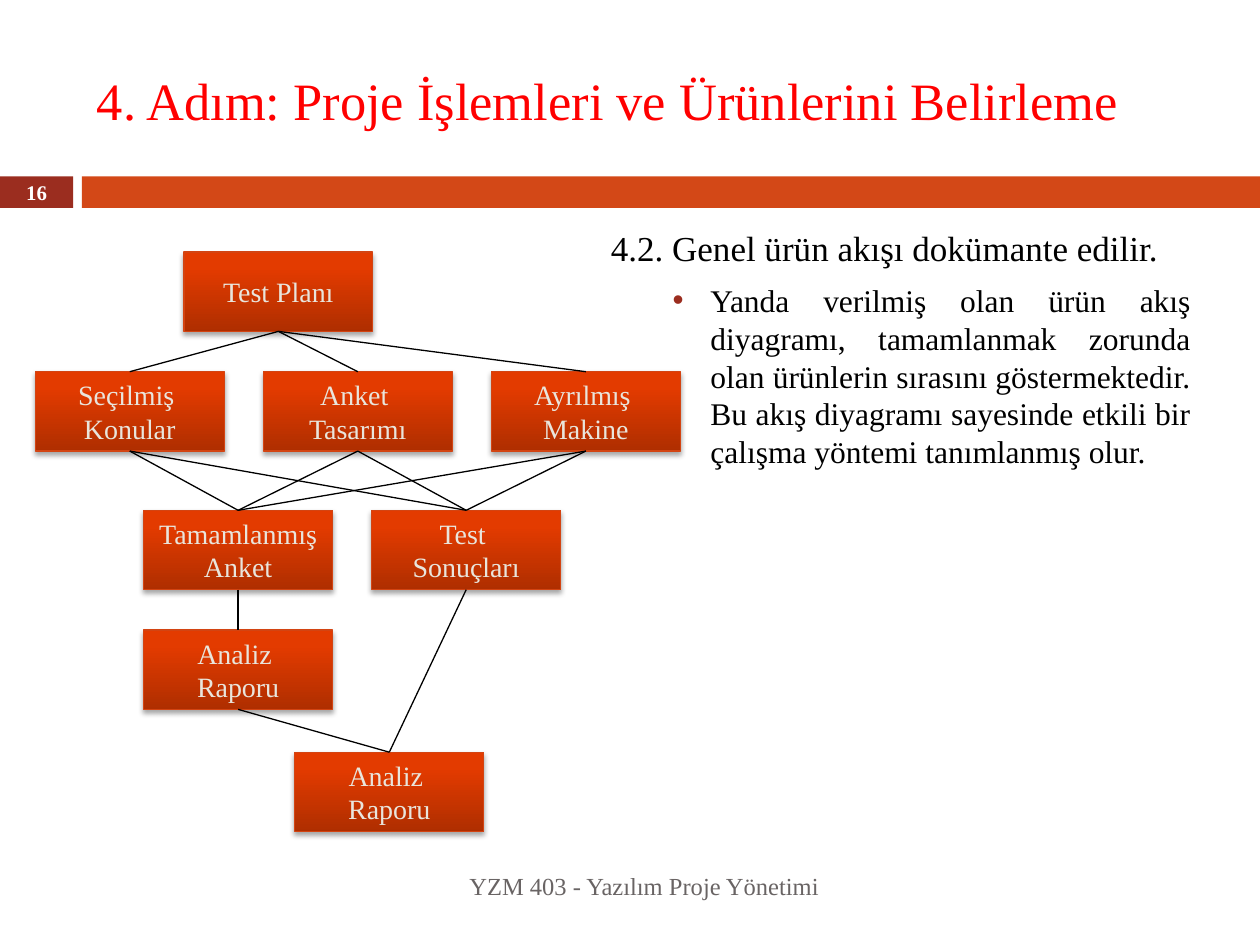
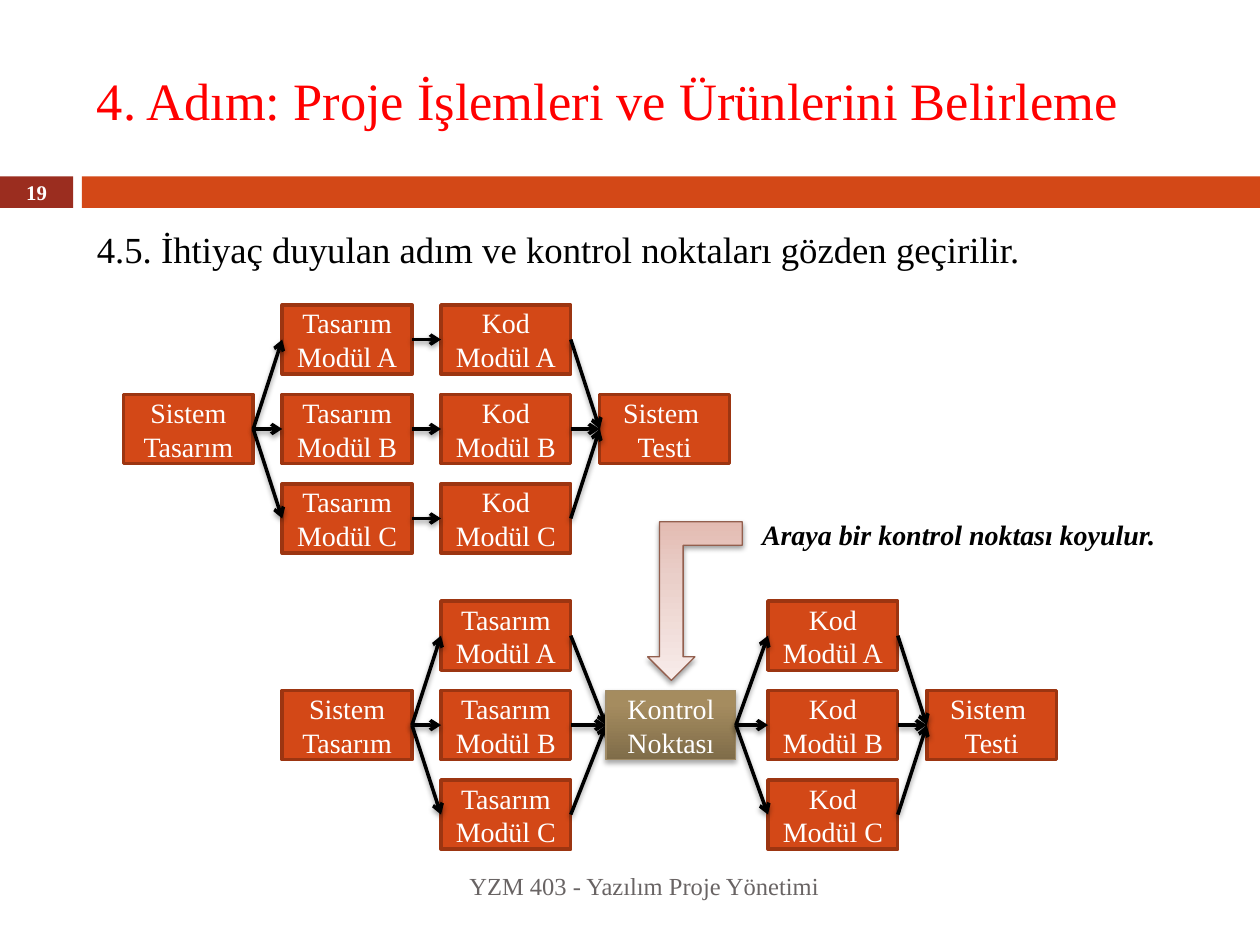
from itertools import product

from lxml.etree import SubElement
from pptx import Presentation
from pptx.dml.color import RGBColor
from pptx.enum.shapes import MSO_CONNECTOR, MSO_SHAPE
from pptx.enum.text import MSO_ANCHOR as Anchor, PP_ALIGN as Align
from pptx.oxml.ns import qn
from pptx.util import Inches, Pt

# Shared look
FONT = "Times New Roman"
BLACK = RGBColor(0x00, 0x00, 0x00)
WHITE = RGBColor(0xFF, 0xFF, 0xFF)
RED = RGBColor(0xFF, 0x00, 0x00)
GREY = RGBColor(0x69, 0x64, 0x64)
CREAM = RGBColor(0xE9, 0xE5, 0xDC)
MAROON = RGBColor(0x9B, 0x2D, 0x1F)
ORANGE = RGBColor(0xD3, 0x48, 0x17)
RUST = RGBColor(0x9C, 0x35, 0x11)
PRODUCT_LINE = RGBColor(0xD3, 0x44, 0x12)
CHECK_LINE = RGBColor(0xA0, 0x8B, 0x66)
ARROW_LINE = RGBColor(0x93, 0x5F, 0x4E)

# Gradients run from bottom to top: (percent, colour)
PRODUCT_FILL = [(0, "AF2E00"), (80, "E33B00"), (100, "E43B00")]
CHECK_FILL = [(0, "7F6C49"), (80, "A58C5F"), (100, "A78D5E")]
ARROW_FILL = [(0, "E3BBB2"), (35, "EACFC9"), (100, "F8ECEA")]

# Shadows: opacity percent, blur and distance in points
BOX_SHADOW = (35, 3.1, 1.8)
LINE_SHADOW = (38, 3.1, 1.6)

SIDES_DOWN = (2, 0)
SIDES_RIGHT = (3, 1)

# Content
TITLE = "4. Adım: Proje İşlemleri ve Ürünlerini Belirleme"
FOOTER = "YZM 403 - Yazılım Proje Yönetimi"

FLOW_HEADING = "4.2. Genel ürün akışı dokümante edilir."
FLOW_BULLET = (
    "Yanda verilmiş olan ürün akış diyagramı, tamamlanmak zorunda olan "
    "ürünlerin sırasını göstermektedir. Bu akış diyagramı sayesinde etkili "
    "bir çalışma yöntemi tanımlanmış olur."
)
# Tiers of products: (left of the first, top, labels)
PRODUCT_TIERS = [
    (1.46, 2, [["Test Planı"]]),
    (0.28, 2.95, [["Seçilmiş ", "Konular"], ["Anket ", "Tasarımı"],
                  ["Ayrılmış ", "Makine"]]),
    (1.14, 4.05, [["Tamamlanmış", "Anket"], ["Test ", "Sonuçları"]]),
    (1.14, 5, [["Analiz ", "Raporu"]]),
    (2.34, 5.97, [["Analiz ", "Raporu"]]),
]
PRODUCT_SIZE = (1.5, 0.63)
PRODUCT_PITCH = 1.81

REVIEW_HEADING = "4.5. İhtiyaç duyulan adım ve kontrol noktaları gözden geçirilir."
REVIEW_NOTE = "Araya bir kontrol noktası koyulur."
SYSTEM_DESIGN = [["Sistem", "Tasarım"]]
SYSTEM_TEST = [["Sistem ", "Testi"]]
CHECKPOINT = [["Kontrol", "Noktası"]]
DESIGN_MODULES = [["Tasarım", f"Modül {module}"] for module in "ABC"]
CODE_MODULES = [[f"Kod Modül {module}"] for module in "ABC"]
# Work flows: (top, stages as (grid column, labels))
WORK_FLOWS = [
    (2.42, [(0, SYSTEM_DESIGN), (1, DESIGN_MODULES), (2, CODE_MODULES),
            (3, SYSTEM_TEST)]),
    (4.77, [(1, SYSTEM_DESIGN), (2, DESIGN_MODULES), (3.04, CHECKPOINT),
            (4.06, CODE_MODULES), (5.06, SYSTEM_TEST)]),
]
STEP_SIZE = (1.03, 0.55)
STEP_LEFT = 0.98
STEP_PITCH = (1.26, 0.71)


# Text and effects
def add_run(paragraph, text, size, color, bold=False, italic=False):
    run = paragraph.add_run()
    run.text = text
    font = run.font
    font.name, font.size, font.color.rgb = FONT, Pt(size), color
    font.bold, font.italic = bold, italic


def write_lines(frame, lines, size, color, align=Align.LEFT,
                anchor=Anchor.TOP, **style):
    frame.vertical_anchor = anchor
    for index, line in enumerate(lines):
        paragraph = frame.add_paragraph() if index else frame.paragraphs[0]
        paragraph.alignment = align
        add_run(paragraph, line, size, color, **style)


def add_text(slide, place, text, size, color, **style):
    frame = slide.shapes.add_textbox(*map(Inches, place)).text_frame
    frame.word_wrap = True
    write_lines(frame, [text], size, color, **style)
    return frame


def add_color(parent, value):
    return SubElement(parent, qn("a:srgbClr"), val=value)


def add_effects(properties, shadow):
    effects = properties.find(qn("a:effectLst"))
    if effects is None:
        effects = SubElement(properties, qn("a:effectLst"))
    if shadow:
        opacity, blur, distance = shadow
        outer = SubElement(effects, qn("a:outerShdw"), blurRad=str(Pt(blur)),
                           dist=str(Pt(distance)), dir="5400000",
                           rotWithShape="0")
        SubElement(add_color(outer, "000000"), qn("a:alpha"),
                   val=str(opacity * 1000))


def fill_gradient(shape, stops):
    shape.fill.gradient()
    shape.fill.gradient_angle = 90
    stop_list = next(shape._element.spPr.iter(qn("a:gsLst")))
    for stop in list(stop_list):
        stop_list.remove(stop)
    for percent, color in stops:
        stop = SubElement(stop_list, qn("a:gs"), pos=str(percent * 1000))
        add_color(stop, color)


# Shapes
def add_block(slide, place, fill, line=None, width=0.75, shadow=None,
              kind=MSO_SHAPE.RECTANGLE):
    shape = slide.shapes.add_shape(kind, *map(Inches, place))
    shape.shadow.inherit = False
    if isinstance(fill, list):
        fill_gradient(shape, fill)
    else:
        shape.fill.solid()
        shape.fill.fore_color.rgb = fill
    if line is None:
        shape.line.fill.background()
    else:
        shape.line.color.rgb, shape.line.width = line, Pt(width)
    add_effects(shape._element.spPr, shadow)
    return shape


def add_box(slide, place, lines, color, wrap=True, **look):
    box = add_block(slide, place, **look)
    box.text_frame.word_wrap = wrap
    write_lines(box.text_frame, lines, 16, color, Align.CENTER, Anchor.MIDDLE)
    return box


def link(slide, start, end, sides, width, arrow=False, shadow=None):
    connector = slide.shapes.add_connector(MSO_CONNECTOR.STRAIGHT, 0, 0, 0, 0)
    connector.begin_connect(start, sides[0])
    connector.end_connect(end, sides[1])
    connector.line.color.rgb, connector.line.width = BLACK, Pt(width)
    if arrow:
        SubElement(connector.line._get_or_add_ln(), qn("a:tailEnd"), type="arrow")
    add_effects(connector._element.spPr, shadow)


def add_base(presentation, number):
    slide = presentation.slides.add_slide(presentation.slide_layouts[6])
    add_block(slide, (0, 1.4, 0.58, 0.25), MAROON)
    add_block(slide, (0.65, 1.4, 9.35, 0.25), ORANGE)
    add_text(slide, (0.67, 0.25, 8.92, 1.08), TITLE, 30, RED, anchor=Anchor.MIDDLE)
    add_text(slide, (0.67, 6.83, 5.93, 0.4), FOOTER, 14, GREY,
             align=Align.RIGHT, anchor=Anchor.MIDDLE)
    add_text(slide, (0, 1.39, 0.58, 0.27), number, 11.9, WHITE,
             align=Align.CENTER, anchor=Anchor.MIDDLE, bold=True)
    return slide


# Product flow slide
def add_flow_text(slide):
    frame = add_text(slide, (4.75, 1.75, 4.8, 2.71), FLOW_HEADING, 20, BLACK,
                     align=Align.JUSTIFY)
    bullet = frame.add_paragraph()
    bullet.alignment = Align.JUSTIFY
    bullet.space_before = Pt(7)
    add_run(bullet, FLOW_BULLET, 18, BLACK)
    properties = bullet._p.get_or_add_pPr()
    properties.set("marL", str(Inches(0.79)))
    properties.set("indent", str(Inches(-0.3)))
    add_color(SubElement(properties, qn("a:buClr")), str(MAROON))
    SubElement(properties, qn("a:buFont"), typeface="Arial")
    SubElement(properties, qn("a:buChar"), char="•")


def build_product_slide(presentation):
    slide = add_base(presentation, "16")
    add_flow_text(slide)
    tiers = [
        [add_box(slide, (left + column * PRODUCT_PITCH, top, *PRODUCT_SIZE),
                 lines, CREAM, wrap=False, fill=PRODUCT_FILL,
                 line=PRODUCT_LINE, shadow=BOX_SHADOW)
         for column, lines in enumerate(labels)]
        for left, top, labels in PRODUCT_TIERS
    ]
    plan, inputs, results, (analysis,), (final,) = tiers
    survey, tests = results
    pairs = [*product(plan, inputs), *product(inputs, results),
             (survey, analysis), (tests, final), (analysis, final)]
    for start, end in pairs:
        link(slide, start, end, SIDES_DOWN, 0.75)


# Checkpoint slide
def add_stage(slide, column, top, labels):
    if labels is CHECKPOINT:
        look = dict(fill=CHECK_FILL, line=CHECK_LINE, shadow=BOX_SHADOW)
    else:
        look = dict(fill=ORANGE, line=RUST, width=2)
    first_row = (3 - len(labels)) / 2
    left = STEP_LEFT + column * STEP_PITCH[0]
    return [add_box(slide, (left, top + (first_row + row) * STEP_PITCH[1],
                            *STEP_SIZE), lines, WHITE, **look)
            for row, lines in enumerate(labels)]


def add_work_flow(slide, top, stages):
    groups = [add_stage(slide, column, top, labels) for column, labels in stages]
    for (_, labels), before, after in zip(stages[1:], groups, groups[1:]):
        # Equal stages run side by side; others fork or join
        pair = zip if len(before) == len(after) else product
        for start, end in pair(before, after):
            link(slide, start, end, SIDES_RIGHT, 2, True, LINE_SHADOW)
        if labels is CHECKPOINT:  # the checkpoint covers the arrowheads
            slide.shapes._spTree.append(after[0]._element)


def build_checkpoint_slide(presentation):
    slide = add_base(presentation, "19")
    add_text(slide, (0.67, 1.75, 8.92, 0.5), REVIEW_HEADING, 21, BLACK)
    for top, stages in WORK_FLOWS:
        add_work_flow(slide, top, stages)
    pointer = add_block(slide, (5.14, 4.14, 0.75, 1.26), ARROW_FILL, ARROW_LINE,
                        shadow=LINE_SHADOW, kind=MSO_SHAPE.BENT_UP_ARROW)
    pointer.rotation = 180
    add_text(slide, (5.95, 4.06, 3.54, 0.37), REVIEW_NOTE, 16, BLACK,
             bold=True, italic=True)


def main():
    presentation = Presentation()
    presentation.slide_width, presentation.slide_height = Inches(10), Inches(7.5)
    build_product_slide(presentation)
    build_checkpoint_slide(presentation)
    presentation.save("out.pptx")


if __name__ == "__main__":
    main()
